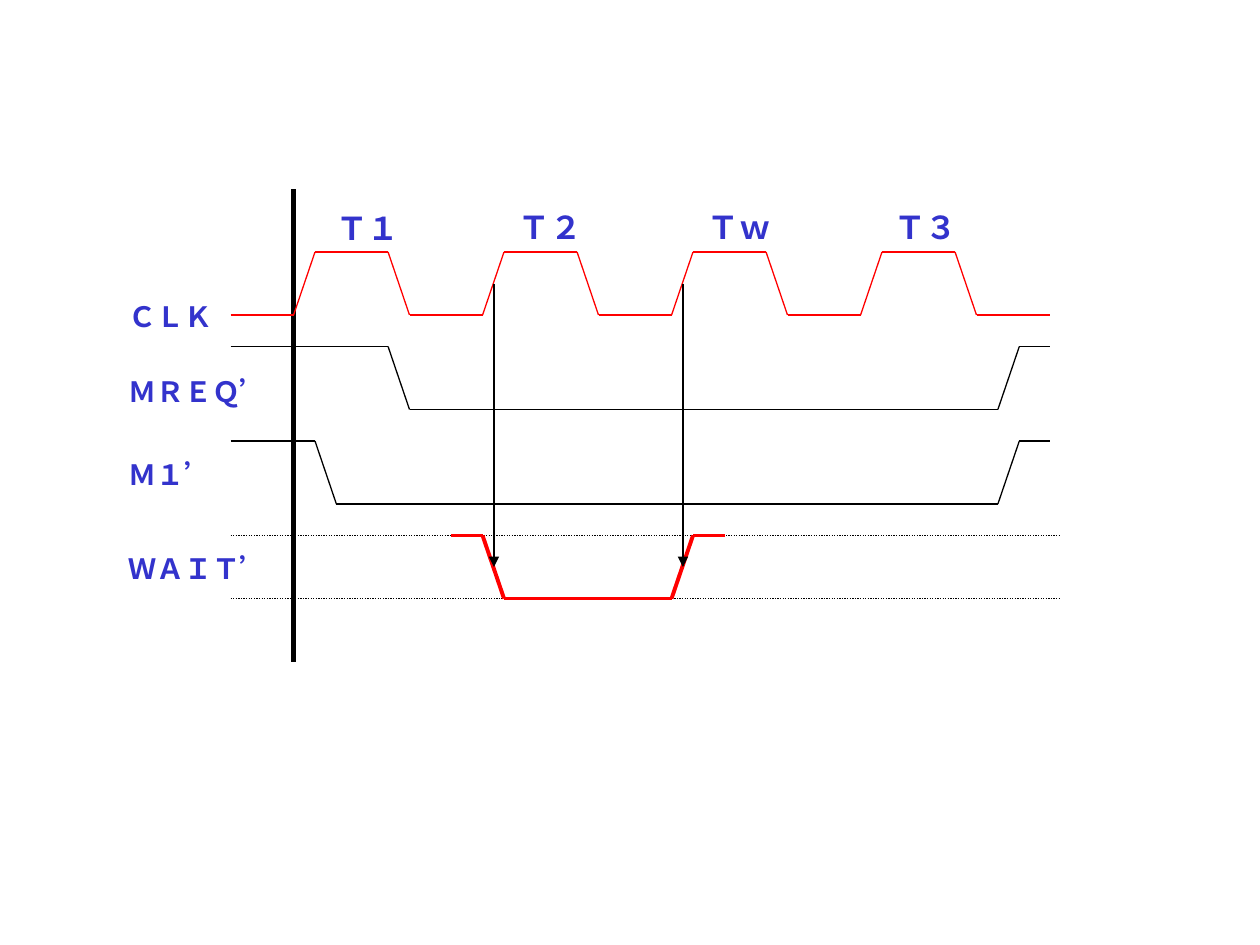
from dataclasses import dataclass
from itertools import pairwise

from lxml.etree import SubElement
from pptx import Presentation
from pptx.dml.color import RGBColor
from pptx.enum.dml import MSO_LINE as Dash
from pptx.enum.shapes import MSO_CONNECTOR as Conn
from pptx.enum.text import MSO_AUTO_SIZE as Auto
from pptx.oxml.ns import qn
from pptx.util import Inches, Pt

COLORS = {"clock": "FF0000", "line": "000000", "label": "3333CC"}
FONT = "Times New Roman"
LEFT, RIGHT = 1.83, 8.33
START, PERIOD = 2.33, 1.5  # first rising edge, clock period
RISE, FALL, LOW = 0.17, 0.75, 0.92  # offsets inside a period
SWING = 0.5  # height of every signal


@dataclass
class Wave:
    points: list[tuple[float, float]]
    color: str = "line"
    width: float = 0.75


@dataclass
class Label:
    text: str
    x: float
    y: float


def add_line(slide, start, end, color="line", width=0.75, dash=None, arrow=False):
    line = slide.shapes.add_connector(
        Conn.STRAIGHT, *(Inches(v) for v in (*start, *end)))
    line.line.color.rgb = RGBColor.from_string(COLORS[color])
    line.line.width = Pt(width)
    if dash:
        line.line.dash_style = dash
    props = line._element.spPr
    if arrow:
        SubElement(props.find(qn("a:ln")), qn("a:tailEnd"), type="triangle")
    SubElement(props, qn("a:effectLst"))


def add_wave(slide, wave: Wave) -> None:
    for start, end in pairwise(wave.points):
        add_line(slide, start, end, wave.color, wave.width)


def add_text(slide, label: Label, *, w: float, h: float, size: int,
             color="label", bold=True, fit=Auto.NONE) -> None:
    box = slide.shapes.add_textbox(*(Inches(v) for v in (label.x, label.y, w, h)))
    frame = box.text_frame
    frame.word_wrap = False
    frame.auto_size = fit
    run = frame.paragraphs[0].add_run()
    run.text = label.text
    run.font.name = FONT
    run.font.size = Pt(size)
    run.font.bold = bold
    run.font.color.rgb = RGBColor.from_string(COLORS[color])


def clock(top: float) -> Wave:
    base = top + SWING
    points = [(LEFT, base)]
    for i in range(4):
        x = START + i * PERIOD
        points += [(x, base), (x + RISE, top), (x + FALL, top), (x + LOW, base)]
    return Wave(points + [(RIGHT, base)], "clock")


def pulse(left, fall, rise, right, top, color="line", width=0.75) -> Wave:
    base = top + SWING
    return Wave([(left, top), (fall, top), (fall + RISE, base),
                 (rise, base), (rise + RISE, top), (right, top)], color, width)


def main() -> None:
    deck = Presentation()
    deck.slide_width, deck.slide_height = Inches(10), Inches(7.5)
    slide = deck.slides.add_slide(deck.slide_layouts[6])

    # Start of the cycle
    add_line(slide, (START, 1.5), (START, 5.25), width=3)

    # Clock and request signals
    add_wave(slide, clock(2))
    add_wave(slide, pulse(LEFT, START + FALL, 7.92, RIGHT, 2.75))
    add_wave(slide, pulse(LEFT, START + RISE, 7.92, RIGHT, 3.5))

    # Wait signal between its two level guides
    for y in (4.75, 4.25):
        add_line(slide, (LEFT, y), (8.42, y), dash=Dash.ROUND_DOT)
    second, third = START + PERIOD, START + 2 * PERIOD
    add_wave(slide, pulse(second - 0.25, second, third, third + 0.42,
                          4.25, "clock", 2.25))

    # Sampling arrows from the rising clock edges
    for x in (second, third):
        add_line(slide, (x + 0.09, 2.25), (x + 0.09, 4.5), arrow=True)

    # Signal names
    for text, y in (("ＣＬＫ", 2.33), ("ＭＲＥＱ’", 2.92),
                    ("Ｍ１’", 3.58), ("ＷＡＩＴ’", 4.33)):
        add_text(slide, Label(text, 0.92, y), w=0.79, h=0.33, size=16)

    # Clock states
    for label in (Label("Ｔ１", 2.57, 1.61), Label("Ｔ２", 4.02, 1.6),
                  Label("Ｔｗ", 5.52, 1.6), Label("Ｔ３", 7, 1.6)):
        add_text(slide, label, w=0.7, h=0.4, size=18, fit=Auto.SHAPE_TO_FIT_TEXT)

    deck.save("out.pptx")


if __name__ == "__main__":
    main()
